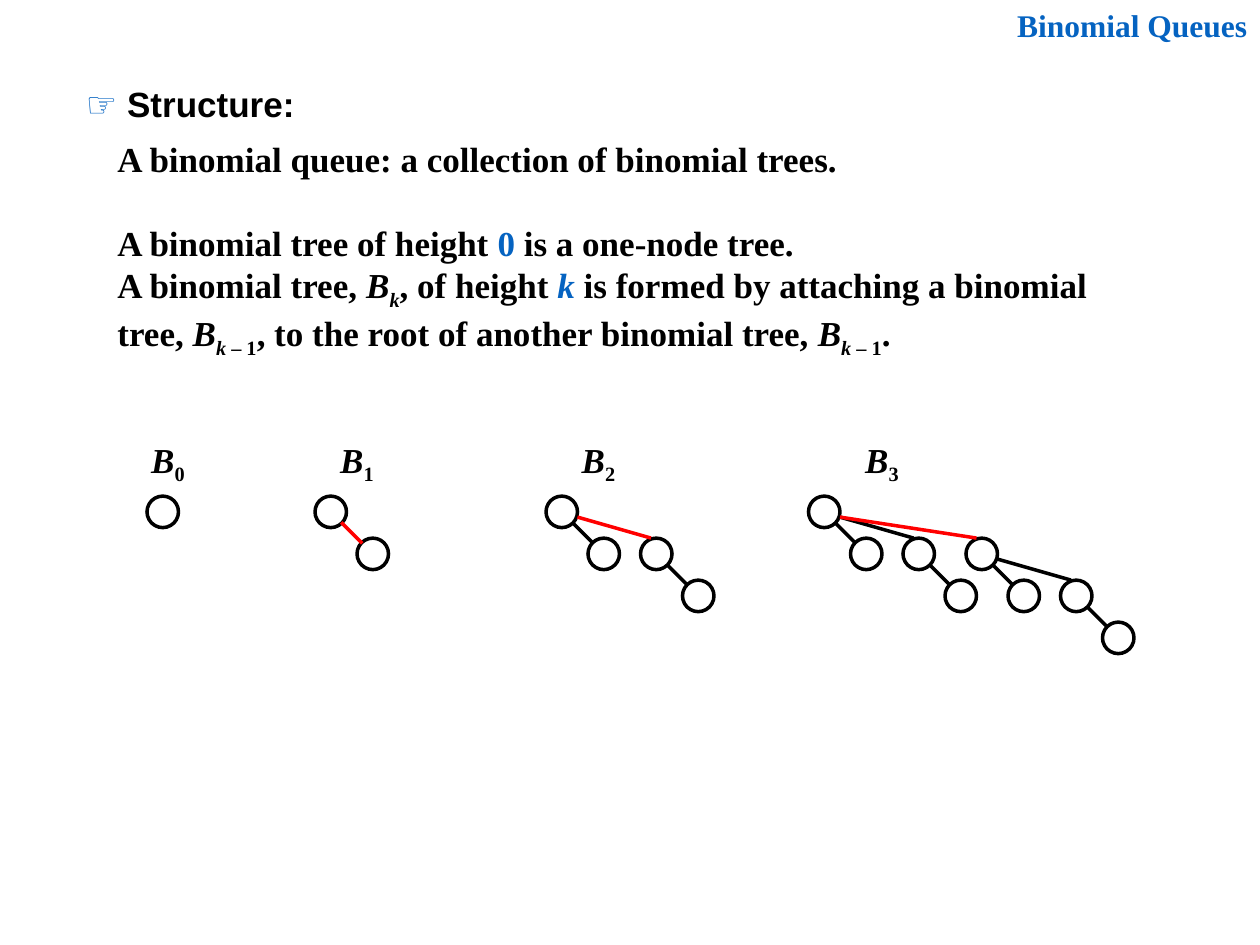
from lxml import etree
from pptx import Presentation
from pptx.dml.color import RGBColor
from pptx.enum.shapes import MSO_CONNECTOR, MSO_SHAPE
from pptx.enum.text import MSO_ANCHOR, PP_ALIGN
from pptx.oxml.ns import qn
from pptx.util import Emu, Pt

LINE, OVAL = MSO_CONNECTOR.STRAIGHT, MSO_SHAPE.OVAL
LEFT, CENTER, RIGHT = PP_ALIGN.LEFT, PP_ALIGN.CENTER, PP_ALIGN.RIGHT
TOP = MSO_ANCHOR.TOP
EMU_PER_PX = 9525
COLORS = {"ink": "000000", "accent": "0563C1", "link": "FF0000"}
SERIF = {"name": "Times New Roman", "size": Pt(20), "bold": True, "italic": False}
SANS = {**SERIF, "name": "Arial"}
TITLE = {**SERIF, "size": Pt(18)}
ITALIC = {**SERIF, "italic": True}
NODE = 24
LEVEL = 32
CHILD_OFFSETS = [32, 72, 120]
TREE_TOP = 378
TREES = [(112, 96), (240, 240), (416, 424), (616, 640)]


def px(length):
    """Turn pixels into EMU."""
    return Emu(length * EMU_PER_PX)


def plain(text, color="ink", font=SERIF):
    """Describe a run on the baseline."""
    return text, font, color, False


def variable(text, color="ink"):
    """Describe an italic run on the baseline."""
    return text, ITALIC, color, False


def subscript(text, font=SERIF):
    """Describe a lowered run."""
    return text, font, "ink", True


class SlideBuilder:
    """Draw text and binomial trees on one slide."""

    def __init__(self, slide):
        """Keep the slide to draw on."""
        self.slide = slide

    def fill_text(self, shape, paragraphs, align=LEFT):
        """Fill a shape with (space before, runs) paragraphs."""
        frame = shape.text_frame
        for name, value in {"word_wrap": True, "vertical_anchor": TOP}.items():
            setattr(frame, name, value)
        for index, (space, runs) in enumerate(paragraphs):
            paragraph = frame.add_paragraph() if index else frame.paragraphs[0]
            values = {"alignment": align, "space_before": Pt(space), "line_spacing": 1.0}
            for name, value in values.items():
                setattr(paragraph, name, value)
            for text, font, color, lowered in runs:
                run = paragraph.add_run()
                run.text = text
                for name, value in font.items():
                    setattr(run.font, name, value)
                run.font.color.rgb = RGBColor.from_string(COLORS[color])
                if lowered:
                    run._r.get_or_add_rPr().set("baseline", "-25000")

    def title(self, left, top, width, height, text):
        """Place and format the title placeholder."""
        shape = self.slide.shapes.title
        places = {"left": left, "top": top, "width": width, "height": height}
        for name, value in places.items():
            setattr(shape, name, px(value))
        self.fill_text(shape, [(0, [plain(text, "accent", TITLE)])], RIGHT)

    def text(self, left, top, width, height, paragraphs, align=LEFT):
        """Add a wrapped text box."""
        box = self.slide.shapes.add_textbox(*map(px, (left, top, width, height)))
        self.fill_text(box, paragraphs, align)

    def outline(self, shape, color):
        """Give a shape or connector its line."""
        shape.line.width = Pt(2)
        shape.line.color.rgb = RGBColor.from_string(COLORS[color])

    def node(self, left, top):
        """Add an empty circle."""
        shape = self.slide.shapes.add_shape(OVAL, *map(px, (left, top, NODE, NODE)))
        shape.shadow.inherit = False
        shape.fill.background()
        self.outline(shape, "ink")

    def edge(self, x1, y1, x2, y2, color):
        """Add a straight line without a shadow."""
        line = self.slide.shapes.add_connector(LINE, *map(px, (x1, y1, x2, y2)))
        self.outline(line, color)
        etree.SubElement(line._element.spPr, qn("a:effectLst"))

    def tree(self, left, top, height, newest="ink"):
        """Add a binomial tree whose newest edge has its own color."""
        self.node(left, top)
        for order, offset in enumerate(CHILD_OFFSETS[:height]):
            child_left, child_top = left + offset, top + LEVEL
            self.tree(child_left, child_top, order)
            color = newest if order == height - 1 else "ink"
            if order == 0:
                ends = left + 20, top + 20, child_left + 4, child_top + 4
            else:
                ends = left + NODE, top + 16, child_left + 8, child_top
            self.edge(*ends, color)


def main():
    """Build and save the slide."""
    presentation = Presentation()
    presentation.slide_width, presentation.slide_height = px(960), px(720)
    builder = SlideBuilder(presentation.slides.add_slide(presentation.slide_layouts[5]))
    builder.title(712, 0, 248, 38, "Binomial Queues")
    heading = [plain("☞ ", "accent", SANS), plain("Structure:", font=SANS)]
    builder.text(56, 58, 232, 41, [(0, heading)])
    smaller_tree = [variable("B"), subscript("k", ITALIC), subscript(" – 1")]
    builder.text(80, 100, 808, 171, [
        (0, [plain("A binomial queue: a collection of binomial trees.")]),
        (24, [plain("A binomial tree of height "), plain("0", "accent"),
              plain(" is a one-node tree.")]),
        (0, [plain("A binomial tree, "), variable("B"), subscript("k", ITALIC),
             plain(", of height "), variable("k", "accent"),
             plain(" is formed by attaching a binomial tree, "), *smaller_tree,
             plain(", to the root of another binomial tree, "), *smaller_tree,
             plain(".")]),
    ])
    for height, (left, label_left) in enumerate(TREES):
        label = [variable("B"), subscript(str(height))]
        builder.text(label_left, 329, 64, 41, [(0, label)], CENTER)
        builder.tree(left, TREE_TOP, height, "link")
    presentation.save("out.pptx")


if __name__ == "__main__":
    main()
